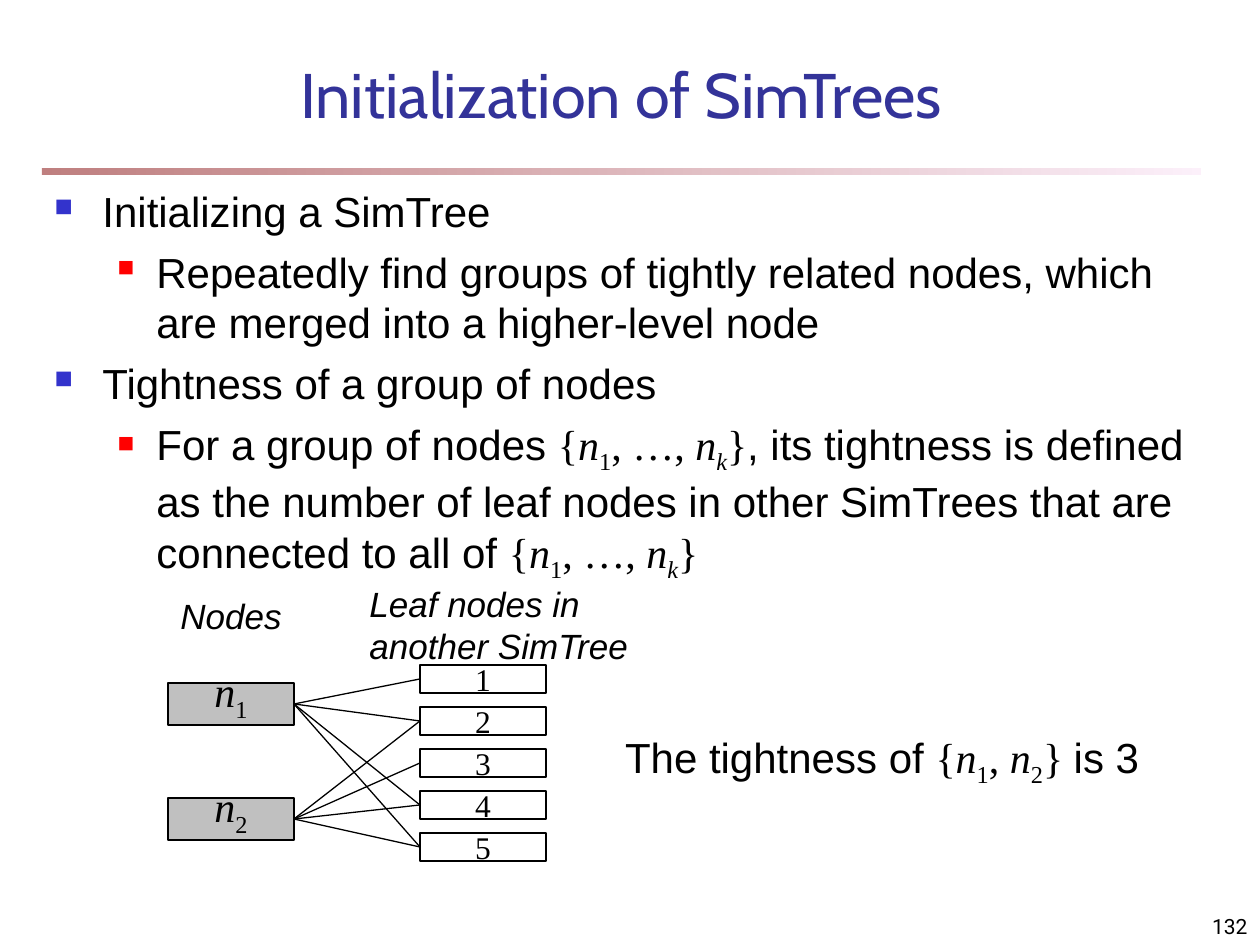
"""Build the slide on initializing SimTrees and the tightness of node groups."""
from lxml import etree
from pptx import Presentation
from pptx.dml.color import RGBColor
from pptx.enum.shapes import MSO_CONNECTOR, MSO_SHAPE
from pptx.enum.text import MSO_ANCHOR, MSO_AUTO_SIZE, PP_ALIGN
from pptx.oxml.ns import qn
from pptx.util import Pt

RECTANGLE, STRAIGHT = MSO_SHAPE.RECTANGLE, MSO_CONNECTOR.STRAIGHT
TOP, MIDDLE, BOTTOM = MSO_ANCHOR.TOP, MSO_ANCHOR.MIDDLE, MSO_ANCHOR.BOTTOM
LEFT, CENTER, RIGHT = PP_ALIGN.LEFT, PP_ALIGN.CENTER, PP_ALIGN.RIGHT
FIXED = MSO_AUTO_SIZE.NONE
RIGHT_SIDE, LEFT_SIDE = 3, 1
EMU_PER_PX = 914400 / 126

COLORS = {
    "title": "333399", "text": "000000", "node": "C0C0C0", "leaf": "FFFFFF",
    "bullet": "3333CC", "sub_bullet": "FF0000",
    "bar_start": "800000", "bar_end": "FAE2F6",
}
STYLES = {
    "title": {"name": "Cabin"},
    "number": {"name": "Roboto"},
    "sans": {"name": "Arial"},
    "label": {"name": "Arial", "italic": True},
    "serif": {"name": "Times New Roman"},
    "variable": {"name": "Times New Roman", "italic": True},
    "index": {"name": "Times New Roman"},
    "variable_index": {"name": "Times New Roman", "italic": True},
}
SUBSCRIPTS = ("index", "variable_index")

GROUP = [("{", "serif"), ("n", "variable"), ("1", "index"), (", …, ", "serif"),
         ("n", "variable"), ("k", "variable_index"), ("}", "serif")]
TITLE = [("Initialization of SimTrees", "title")]
BODY = [
    (0, [("Initializing a SimTree", "sans")]),
    (1, [("Repeatedly find groups of tightly related nodes, which are merged "
          "into a higher-level node", "sans")]),
    (0, [("Tightness of a group of nodes", "sans")]),
    (1, [("For a group of nodes ", "sans"), *GROUP,
         (", its tightness is defined as the number of leaf nodes in other "
          "SimTrees that are connected to all of ", "sans"), *GROUP]),
]
LEVELS = [
    {"margin": 48, "indent": -48, "color": "bullet", "percent": 60},
    {"margin": 102, "indent": -39, "color": "sub_bullet", "percent": 55},
]
CONCLUSION = [("The tightness of ", "sans"), ("{", "serif"), ("n", "variable"),
              ("1", "index"), (", ", "serif"), ("n", "variable"),
              ("2", "index"), ("} ", "serif"), ("is 3", "sans")]
NOTES = [
    ((609, 725, 546, 70), CONCLUSION, 24, CENTER, TOP),
    ((168, 588, 147, 56), [("Nodes", "label")], 20, LEFT, TOP),
    ((357, 576, 284, 139), [("Leaf nodes in another SimTree", "label")], 20, LEFT, TOP),
    ((998, 892, 262, 53), [("132", "number")], 12, RIGHT, BOTTOM),
]
NODE_TOPS = {"1": 683, "2": 798}
LEAVES = ["1", "2", "3", "4", "5"]
LEAF_TOP, LEAF_STEP = 665, 42
LINKS = {"1": ["1", "2", "4", "5"], "2": ["2", "3", "4", "5"]}


def px(length):
    return round(length * EMU_PER_PX)


def color(name):
    return RGBColor.from_string(COLORS[name])


def set_values(target, values):
    for name, value in values.items():
        setattr(target, name, value)


def add_spans(para, spans, size, tint="text"):
    for text, style in spans:
        span = para.add_run()
        span.text = text
        set_values(span.font, {"size": Pt(size), **STYLES[style]})
        span.font.color.rgb = color(tint)
        if style in SUBSCRIPTS:
            span.font._element.set("baseline", "-25000")


def add_bullet(para, level):
    look = LEVELS[level]
    properties = para._p.get_or_add_pPr()
    properties.set("marL", str(px(look["margin"])))
    properties.set("indent", str(px(look["indent"])))
    tint = etree.SubElement(properties, qn("a:buClr"))
    etree.SubElement(tint, qn("a:srgbClr"), val=COLORS[look["color"]])
    etree.SubElement(properties, qn("a:buSzPct"), val=str(look["percent"] * 1000))
    etree.SubElement(properties, qn("a:buChar"), char="■")


def add_box(page, place, anchor):
    box = page.shapes.add_textbox(*map(px, place))
    set_values(box.text_frame, {"word_wrap": True, "vertical_anchor": anchor,
                                "auto_size": FIXED})
    return box.text_frame


def add_rectangle(page, place):
    box = page.shapes.add_shape(RECTANGLE, *map(px, place))
    box.shadow.inherit = False
    return box


def add_node(page, place, fill, spans, size, insets):
    box = add_rectangle(page, place)
    box.fill.solid()
    box.fill.fore_color.rgb = color(fill)
    box.line.color.rgb = color("text")
    box.line.width = Pt(0.75)
    top, bottom = insets
    set_values(box.text_frame, {"word_wrap": False, "vertical_anchor": MIDDLE,
                                "margin_top": px(top), "margin_bottom": px(bottom)})
    para = box.text_frame.paragraphs[0]
    para.alignment = CENTER
    add_spans(para, spans, size)
    return box


def add_link(page, node, leaf):
    link = page.shapes.add_connector(STRAIGHT, 0, 0, 0, 0)
    link.begin_connect(node, RIGHT_SIDE)
    link.end_connect(leaf, LEFT_SIDE)
    link.line.color.rgb = color("text")
    link.line.width = Pt(0.75)
    etree.SubElement(link._element.spPr, qn("a:effectLst"))


def add_bar(page):
    bar = add_rectangle(page, (42, 168, 1159, 7))
    bar.line.fill.background()
    bar.fill.gradient()
    bar.fill.gradient_angle = 0
    for stop, name in zip(bar.fill.gradient_stops, ("bar_start", "bar_end")):
        stop.color.rgb = color(name)
    for tint in bar._element.spPr.iter(qn("a:srgbClr")):
        etree.SubElement(tint, qn("a:alpha"), val="50000")


def add_title(page):
    title = page.shapes.title
    set_values(title, dict(zip(("left", "top", "width", "height"),
                               map(px, (84, 53, 1074, 84)))))
    set_values(title.text_frame, {"vertical_anchor": BOTTOM, "word_wrap": True,
                                  "auto_size": FIXED})
    para = title.text_frame.paragraphs[0]
    para.alignment = CENTER
    add_spans(para, TITLE, 36, "title")


def add_body(page):
    frame = add_box(page, (42, 179, 1155, 431), TOP)
    frame.margin_right = px(6)
    for position, (level, spans) in enumerate(BODY):
        para = frame.add_paragraph() if position else frame.paragraphs[0]
        add_bullet(para, level)
        set_values(para, {"level": level, "space_before": Pt(6 if position else 0)})
        add_spans(para, spans, 24)


def add_diagram(page):
    nodes = {name: add_node(page, (168, top, 126, 42), "node",
                            [("n", "variable"), (name, "index")], 24, (0, 19))
             for name, top in NODE_TOPS.items()}
    leaves = {name: add_node(page, (420, LEAF_TOP + LEAF_STEP * row, 126, 28), "leaf",
                             [(name, "serif")], 18, (6, 6))
              for row, name in enumerate(LEAVES)}
    for node, targets in LINKS.items():
        for leaf in targets:
            add_link(page, nodes[node], leaves[leaf])


def main():
    deck = Presentation()
    deck.slide_width, deck.slide_height = px(1260), px(945)
    page = deck.slides.add_slide(deck.slide_layouts[5])
    add_bar(page)
    add_title(page)
    add_body(page)
    add_diagram(page)
    for place, spans, size, alignment, anchor in NOTES:
        para = add_box(page, place, anchor).paragraphs[0]
        para.alignment = alignment
        add_spans(para, spans, size)
    deck.save("out.pptx")


if __name__ == "__main__":
    main()
